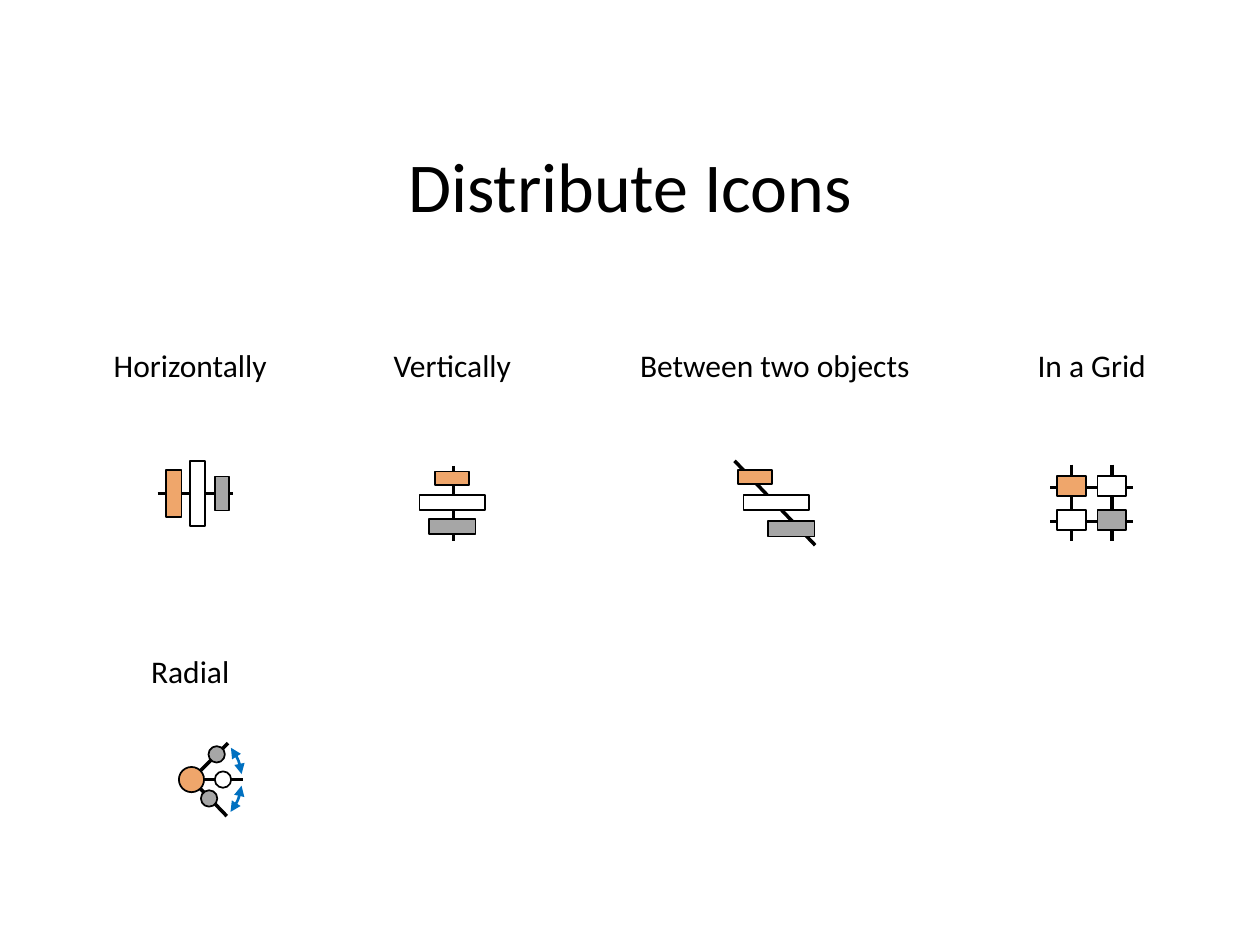
from lxml import etree
from pptx import Presentation
from pptx.dml.color import RGBColor
from pptx.enum.shapes import MSO_CONNECTOR, MSO_SHAPE
from pptx.enum.text import MSO_AUTO_SIZE, PP_ALIGN
from pptx.oxml.ns import qn
from pptx.util import Inches, Pt

WIDTH, HEIGHT = 10, 7.5
COLUMNS = [WIDTH * share for share in (0.15, 0.36, 0.61, 0.87)]
COLUMNS = [1.51, 3.59, 6.15, 8.665]
LABEL_ROWS = [HEIGHT * 0.36, HEIGHT * 0.683]
ICON_ROWS = [HEIGHT * 0.533, HEIGHT * 0.825]
BLACK, WHITE, ORANGE, GRAY, BLUE = "000000", "FFFFFF", "EFA66B", "A6A6A6", "0070C0"
SMALL, MEDIUM, LARGE = (0.27, 0.11), (0.37, 0.12), (0.52, 0.12)


def color(value):
    """Turn a hex string into a colour."""
    return RGBColor.from_string(value)


def add_text(slide, text, center, top, width, height, size):
    """Add a centred line of text around a column centre."""
    box = slide.shapes.add_textbox(
        Inches(center - width / 2), Inches(top), Inches(width), Inches(height))
    frame = box.text_frame
    frame.word_wrap = False
    frame.auto_size = MSO_AUTO_SIZE.SHAPE_TO_FIT_TEXT
    paragraph = frame.paragraphs[0]
    paragraph.alignment = PP_ALIGN.CENTER
    run = paragraph.add_run()
    run.text = text
    run.font.name, run.font.size = "Calibri", Pt(size)
    run.font.color.rgb = color(BLACK)


class Icon:
    """A group of shapes placed by offsets from an icon centre."""

    def __init__(self, slide, column, row):
        """Start an empty group at a grid cell."""
        self.shapes = slide.shapes.add_group_shape().shapes
        self.x, self.y = COLUMNS[column], ICON_ROWS[row]

    def line(self, x1, y1, x2, y2):
        """Draw a black guide line."""
        connector = self.shapes.add_connector(
            MSO_CONNECTOR.STRAIGHT, Inches(self.x + x1), Inches(self.y + y1),
            Inches(self.x + x2), Inches(self.y + y2))
        connector.line.color.rgb = color(BLACK)
        connector.line.width = Pt(2)
        etree.SubElement(connector._element.spPr, qn("a:effectLst"))

    def shape(self, kind, x, y, size, outline, weight):
        """Place a preset shape by its centre."""
        width, height = size
        shape = self.shapes.add_shape(
            kind, Inches(self.x + x - width / 2), Inches(self.y + y - height / 2),
            Inches(width), Inches(height))
        shape.shadow.inherit = False
        shape.line.color.rgb = color(outline)
        shape.line.width = Pt(weight)
        return shape

    def solid(self, x, y, size, fill, kind=MSO_SHAPE.RECTANGLE):
        """Place a filled shape with a thin black outline."""
        shape = self.shape(kind, x, y, size, BLACK, 1)
        shape.fill.solid()
        shape.fill.fore_color.rgb = color(fill)

    def dot(self, x, y, diameter, fill):
        """Place a filled circle."""
        self.solid(x, y, (diameter, diameter), fill, MSO_SHAPE.OVAL)

    def arc(self, start, end, rotation):
        """Draw a double-headed arc between two angles in degrees."""
        arc = self.shape(MSO_SHAPE.ARC, 0, 0, (0.82, 0.82), BLUE, 1.5)
        arc.fill.background()
        arc.rotation = rotation
        for index, degrees in enumerate((start, end)):
            arc.adjustments[index] = degrees * 0.6
        for end_name in ("a:headEnd", "a:tailEnd"):
            etree.SubElement(arc.line._get_or_add_ln(), qn(end_name), type="triangle")


def draw_horizontal(slide):
    """Draw upright bars spread along a level line."""
    icon = Icon(slide, 0, 0)
    icon.line(-0.26, -0.08, 0.34, -0.08)
    bars = ((MEDIUM, ORANGE), (LARGE, WHITE), (SMALL, GRAY))
    for index, ((length, thickness), fill) in enumerate(bars):
        icon.solid(-0.13 + 0.19 * index, -0.08, (thickness, length), fill)


def draw_vertical(slide):
    """Draw level bars spread along an upright line."""
    icon = Icon(slide, 1, 0)
    icon.line(0.01, -0.3, 0.01, 0.3)
    bars = ((SMALL, ORANGE), (LARGE, WHITE), (MEDIUM, GRAY))
    for index, (size, fill) in enumerate(bars):
        icon.solid(0, -0.2 + 0.19 * index, size, fill)


def draw_between(slide):
    """Draw bars spread along a diagonal."""
    icon = Icon(slide, 2, 0)
    icon.line(-0.32, -0.34, 0.32, 0.33)
    for x, y, size, fill in ((-0.16, -0.21, SMALL, ORANGE),
                             (0.01, -0.01, LARGE, WHITE),
                             (0.13, 0.2, MEDIUM, GRAY)):
        icon.solid(x, y, size, fill)


def draw_grid(slide):
    """Draw boxes on the crossings of a two by two grid."""
    icon = Icon(slide, 3, 0)
    columns, rows = (-0.16, 0.16), (-0.13, 0.14)
    for x in columns:
        icon.line(x, -0.31, x, 0.3)
    for y in rows:
        icon.line(-0.33, y, 0.33, y)
    fills = iter((ORANGE, WHITE, WHITE, GRAY))
    for y in rows:
        for x in columns:
            icon.solid(x, y - 0.01, (0.23, 0.16), next(fills))


def draw_radial(slide):
    """Draw dots on spokes around a hub, with arcs between them."""
    icon = Icon(slide, 0, 1)
    for rotation in (0, 44.9):
        icon.arc(321.96, 353.88, rotation)
    for spoke in ((0.05, 0, 0.42, 0), (0.04, -0.03, 0.3, -0.29), (0.04, 0.03, 0.29, 0.29)):
        icon.line(*spoke)
    icon.dot(0.01, 0, 0.2, ORANGE)
    for x, y, fill in ((0.21, -0.2, GRAY), (0.26, 0, WHITE), (0.15, 0.15, GRAY)):
        icon.dot(x, y, 0.13, fill)


def main():
    """Build the slide and save it."""
    deck = Presentation()
    deck.slide_width, deck.slide_height = Inches(WIDTH), Inches(HEIGHT)
    slide = deck.slides.add_slide(deck.slide_layouts[6])
    add_text(slide, "Distribute Icons", WIDTH / 2, HEIGHT * 0.144, 3.76, 0.77, 40)
    labels = (("Horizontally", 0, 0, 1.43), ("Vertically", 1, 0, 1.14),
              ("Between two objects", 2, 0, 2.36), ("In a Grid", 3, 0, 1.07),
              ("Radial", 0, 1, 0.83))
    for text, column, row, width in labels:
        add_text(slide, text, COLUMNS[column], LABEL_ROWS[row], width, 0.4, 18)
    for draw in (draw_horizontal, draw_vertical, draw_between, draw_grid, draw_radial):
        draw(slide)
    deck.save("out.pptx")


main()
